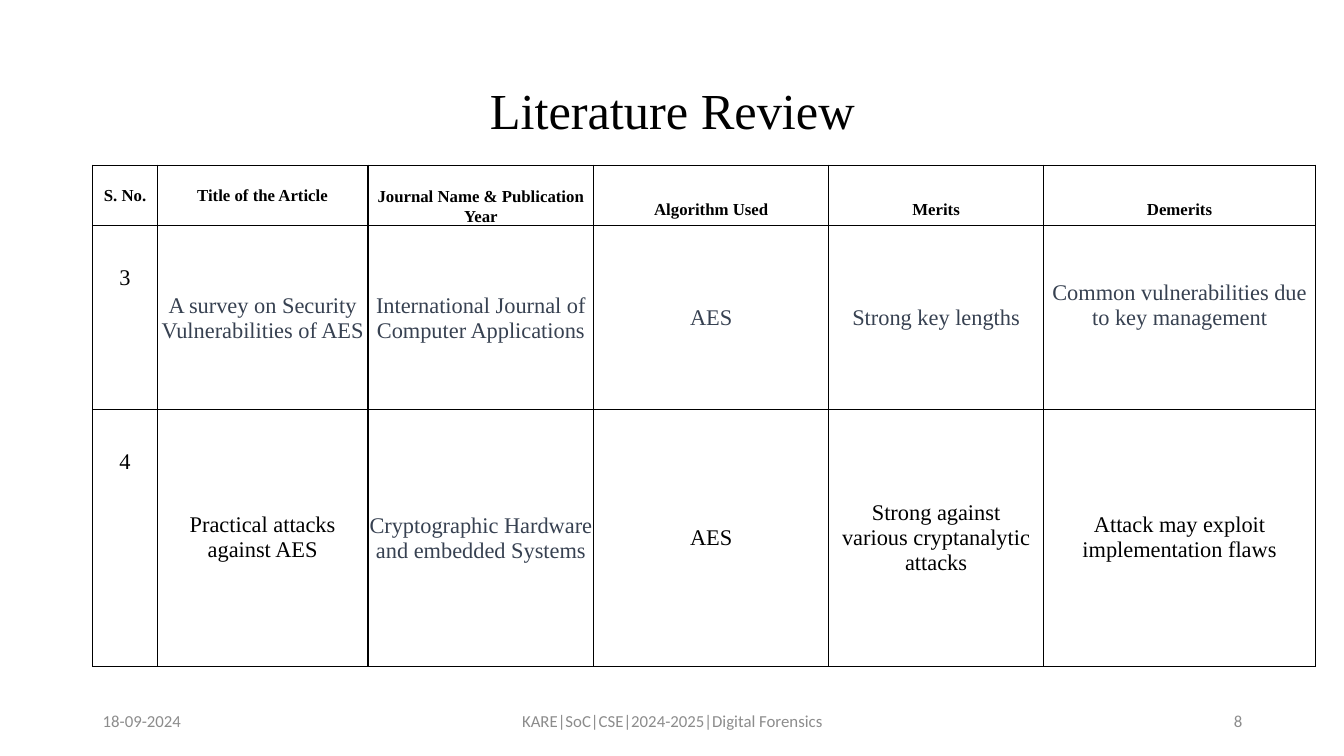
from dataclasses import dataclass

from lxml.etree import SubElement
from pptx import Presentation
from pptx.dml.color import RGBColor as RGB
from pptx.enum.text import MSO_ANCHOR as ANCHOR, PP_ALIGN as ALIGN
from pptx.oxml.ns import qn
from pptx.slide import Slide
from pptx.table import _Cell as Cell
from pptx.text.text import TextFrame
from pptx.util import Inches, Pt


@dataclass(frozen=True)
class Theme:
    serif: str = "Times New Roman"
    sans: str = "Calibri"
    black: str = "000000"
    slate: str = "374151"
    gray: str = "8C8C8C"
    white: str = "FFFFFF"
    title: int = 36
    body: int = 16
    small: int = 12
    border: int = 1


@dataclass(frozen=True)
class Label:
    text: str
    left: float
    top: float
    width: float
    height: float
    align: ALIGN
    size: int
    font: str
    color: str
    spacing: float = 1.0


@dataclass(frozen=True)
class Insets:
    left: float
    top: float
    right: float
    bottom: float


@dataclass(frozen=True)
class Entry:
    text: str
    insets: Insets
    anchor: ANCHOR = ANCHOR.MIDDLE
    color: str = Theme.black
    size: int = Theme.body
    bold: bool = False
    spacing: float = 1.0
    after: float = 0


THEME = Theme()
SIDES = Insets(0.1, 0, 0.1, 0)
NUMBER = Insets(0.1, 0.38, 0.1, 0)
TIGHT = Insets(0.01, 0.01, 0.01, 0)
RAISED = Insets(0.01, 0.01, 0.01, 0.25)
ROOMY = Insets(0.13, 0.07, 0.13, 0.07)

LABELS = [
    Label("Literature Review", 0.92, 0.4, 11.5, 1.45, ALIGN.CENTER,
          THEME.title, THEME.serif, THEME.black, 0.9),
    *(Label(text, left, 6.95, width, 0.4, align, THEME.small, THEME.sans, THEME.gray)
      for text, left, width, align in [
          ("18-09-2024", 0.92, 3, ALIGN.LEFT),
          ("KARE|SoC|CSE|2024-2025|Digital Forensics", 4.42, 4.5, ALIGN.CENTER),
          ("8", 9.42, 3, ALIGN.RIGHT),
      ]),
]


def heading(text: str, insets: Insets, anchor: ANCHOR = ANCHOR.BOTTOM) -> Entry:
    return Entry(text, insets, anchor, size=THEME.small, bold=True, spacing=1.07, after=8)


def number(text: str) -> Entry:
    return Entry(text, NUMBER, ANCHOR.TOP, spacing=1.07, after=8)


def muted(text: str, insets: Insets = TIGHT) -> Entry:
    return Entry(text, insets, color=THEME.slate)


COLUMNS = [0.64, 2.09, 2.24, 2.33, 2.13, 2.7]
ROWS = [0.6, 1.82, 2.55]
REVIEW = [
    [heading("S. No.", SIDES, ANCHOR.MIDDLE),
     heading("Title of the Article", SIDES, ANCHOR.MIDDLE),
     heading("Journal Name & Publication Year", TIGHT),
     heading("Algorithm Used", ROOMY),
     heading("Merits", ROOMY),
     heading("Demerits", ROOMY)],
    [number("3"),
     muted("A survey on Security Vulnerabilities of AES"),
     muted("International Journal of Computer Applications"),
     muted("AES"),
     muted("Strong key lengths"),
     muted("Common vulnerabilities due to key management", RAISED)],
    [number("4"),
     Entry("Practical attacks against AES", ROOMY),
     muted("Cryptographic Hardware and embedded Systems"),
     Entry("AES", ROOMY),
     Entry("Strong against various cryptanalytic attacks", ROOMY),
     Entry("Attack may exploit implementation flaws", ROOMY)],
]


def write(tf: TextFrame, text: str, *, size: int, font: str, color: str, align: ALIGN,
          bold: bool = False, spacing: float = 1.0, after: float = 0) -> None:
    tf.word_wrap = True
    p = tf.paragraphs[0]
    p.alignment = align
    p.line_spacing = spacing
    p.space_after = Pt(after)
    r = p.add_run()
    r.text = text
    r.font.size = Pt(size)
    r.font.name = font
    r.font.bold = bold
    r.font.color.rgb = RGB.from_string(color)


def add_label(s: Slide, label: Label) -> None:
    sp = s.shapes.add_textbox(Inches(label.left), Inches(label.top),
                              Inches(label.width), Inches(label.height))
    sp.text_frame.vertical_anchor = ANCHOR.MIDDLE
    write(sp.text_frame, label.text, size=label.size, font=label.font,
          color=label.color, align=label.align, spacing=label.spacing)


def add_borders(cell: Cell) -> None:
    props = cell._tc.get_or_add_tcPr()
    for side in ("lnL", "lnR", "lnT", "lnB"):
        ln = SubElement(props, qn(f"a:{side}"), w=str(Pt(THEME.border)))
        fill = SubElement(ln, qn("a:solidFill"))
        SubElement(fill, qn("a:srgbClr"), val=THEME.black)


def fill_cell(cell: Cell, entry: Entry) -> None:
    add_borders(cell)
    cell.fill.solid()
    cell.fill.fore_color.rgb = RGB.from_string(THEME.white)
    cell.vertical_anchor = entry.anchor
    cell.margin_left = Inches(entry.insets.left)
    cell.margin_top = Inches(entry.insets.top)
    cell.margin_right = Inches(entry.insets.right)
    cell.margin_bottom = Inches(entry.insets.bottom)
    write(cell.text_frame, entry.text, size=entry.size, font=THEME.serif,
          color=entry.color, align=ALIGN.CENTER, bold=entry.bold,
          spacing=entry.spacing, after=entry.after)


def add_review(s: Slide) -> None:
    table = s.shapes.add_table(len(ROWS), len(COLUMNS), Inches(0.92), Inches(1.64),
                               Inches(sum(COLUMNS)), Inches(sum(ROWS))).table
    table.first_row = False
    table.horz_banding = False
    for column, width in zip(table.columns, COLUMNS):
        column.width = Inches(width)
    for row, height, entries in zip(table.rows, ROWS, REVIEW):
        row.height = Inches(height)
        for cell, entry in zip(row.cells, entries):
            fill_cell(cell, entry)


def main() -> None:
    prs = Presentation()
    prs.slide_width = Inches(13.33)
    prs.slide_height = Inches(7.5)
    s = prs.slides.add_slide(prs.slide_layouts[6])
    for label in LABELS:
        add_label(s, label)
    add_review(s)
    prs.save("out.pptx")


if __name__ == "__main__":
    main()
